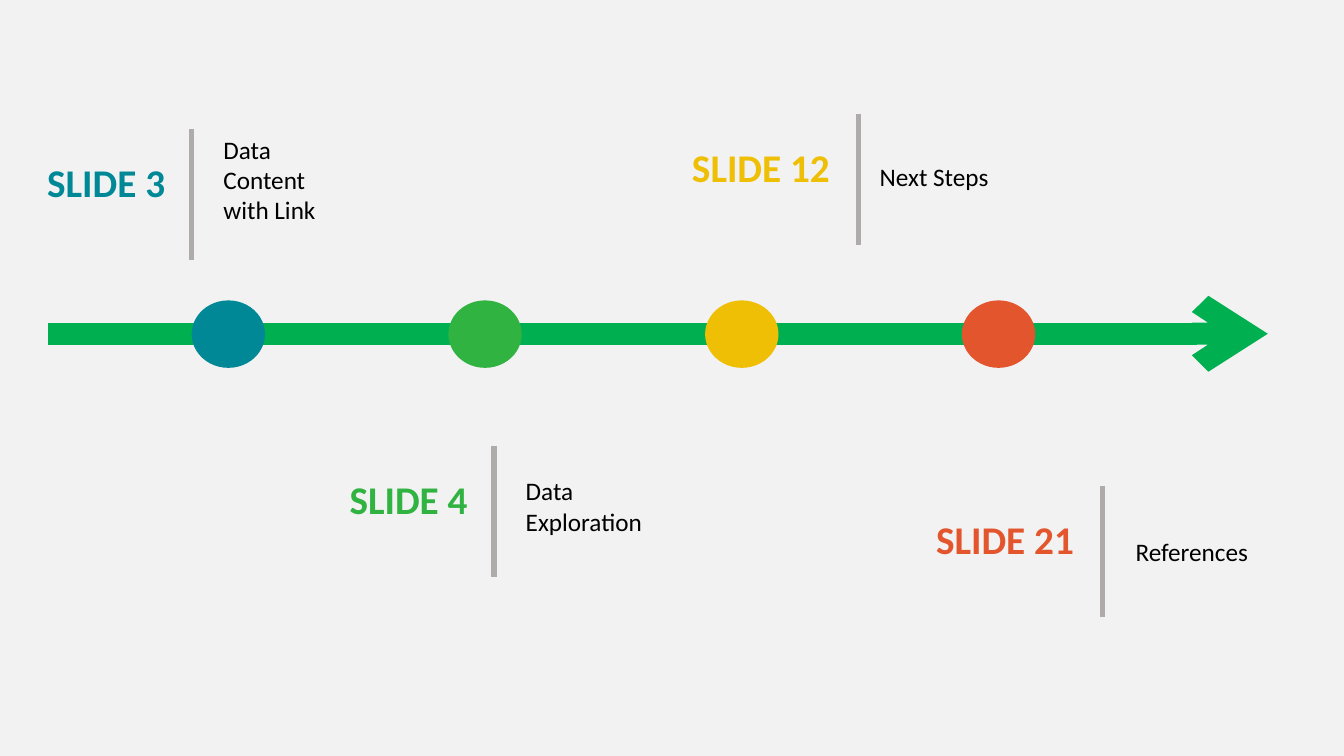
"""Builds a timeline slide whose four milestones point to sections of a deck."""
from lxml.etree import SubElement
from pptx import Presentation
from pptx.dml.color import RGBColor
from pptx.enum.shapes import MSO_CONNECTOR as Connector, MSO_SHAPE as Shape
from pptx.oxml.ns import qn
from pptx.util import Cm, Pt

BACKGROUND = RGBColor(0xF2, 0xF2, 0xF2)
ARROW_GREEN = RGBColor(0x00, 0xB0, 0x50)
RULE_GREY = RGBColor(0xAF, 0xAB, 0xAB)
BLACK = RGBColor(0x00, 0x00, 0x00)
TEAL = RGBColor(0x00, 0x88, 0x96)
GREEN = RGBColor(0x30, 0xB3, 0x41)
YELLOW = RGBColor(0xEE, 0xBF, 0x05)
ORANGE = RGBColor(0xE3, 0x55, 0x2C)

deck = Presentation()
deck.slide_width, deck.slide_height = Cm(33.87), Cm(19.05)
slide = deck.slides.add_slide(deck.slide_layouts[6])
slide.background.fill.solid()
slide.background.fill.fore_color.rgb = BACKGROUND


def add_line(x1, y1, x2, y2, color, weight):
    line = slide.shapes.add_connector(Connector.STRAIGHT, Cm(x1), Cm(y1), Cm(x2), Cm(y2))
    line.line.color.rgb = color
    line.line.width = Pt(weight)
    SubElement(line._element.spPr, qn("a:effectLst"))
    return line


def add_text(text, left, top, width, height, size, color, bold=False):
    box = slide.shapes.add_textbox(Cm(left), Cm(top), Cm(width), Cm(height))
    box.text_frame.word_wrap = True
    run = box.text_frame.paragraphs[0].add_run()
    run.text = text
    run.font.name = "Calibri"
    run.font.size = Pt(size)
    run.font.bold = bold
    run.font.color.rgb = color


timeline = add_line(1.22, 8.41, 31.95, 8.41, ARROW_GREEN, 15.5)
SubElement(timeline.line._get_or_add_ln(), qn("a:tailEnd"), type="arrow")

FIRST_DOT, DOT_PITCH = 4.83, 6.47
RULE_LENGTH, LABEL_GAP, LABEL_DROP = 3.31, 0.28, 0.61

# label, label width, topic, topic left, topic top, topic height, rule x, rule top, color
milestones = [
    ("SLIDE 3", 3.61, "Data Content with Link", 5.38, 3.25, 2.57, 4.83, 3.25, TEAL),
    ("SLIDE 4", 3.61, "Data Exploration", 13.0, 11.86, 1.8, 12.45, 11.23, GREEN),
    ("SLIDE 12", 4.17, "Next Steps", 21.92, 3.94, 1.02, 21.64, 2.87, YELLOW),
    ("SLIDE 21", 4.17, "References", 28.37, 13.39, 1.02, 27.79, 12.24, ORANGE),
]
for index, (label, label_width, topic, topic_left, topic_top, topic_height,
            rule_x, rule_top, color) in enumerate(milestones):
    dot = slide.shapes.add_shape(
        Shape.OVAL, Cm(FIRST_DOT + index * DOT_PITCH), Cm(7.57), Cm(1.85), Cm(1.7))
    dot.shadow.inherit = False
    dot.fill.solid()
    dot.fill.fore_color.rgb = color
    dot.line.fill.background()

    add_text(label, rule_x - LABEL_GAP - label_width, rule_top + LABEL_DROP,
             label_width, 1.45, 28, color, bold=True)
    add_text(topic, topic_left, topic_top, 3.61, topic_height, 18, BLACK)
    add_line(rule_x, rule_top, rule_x, rule_top + RULE_LENGTH, RULE_GREY, 3.75)

deck.save("out.pptx")
